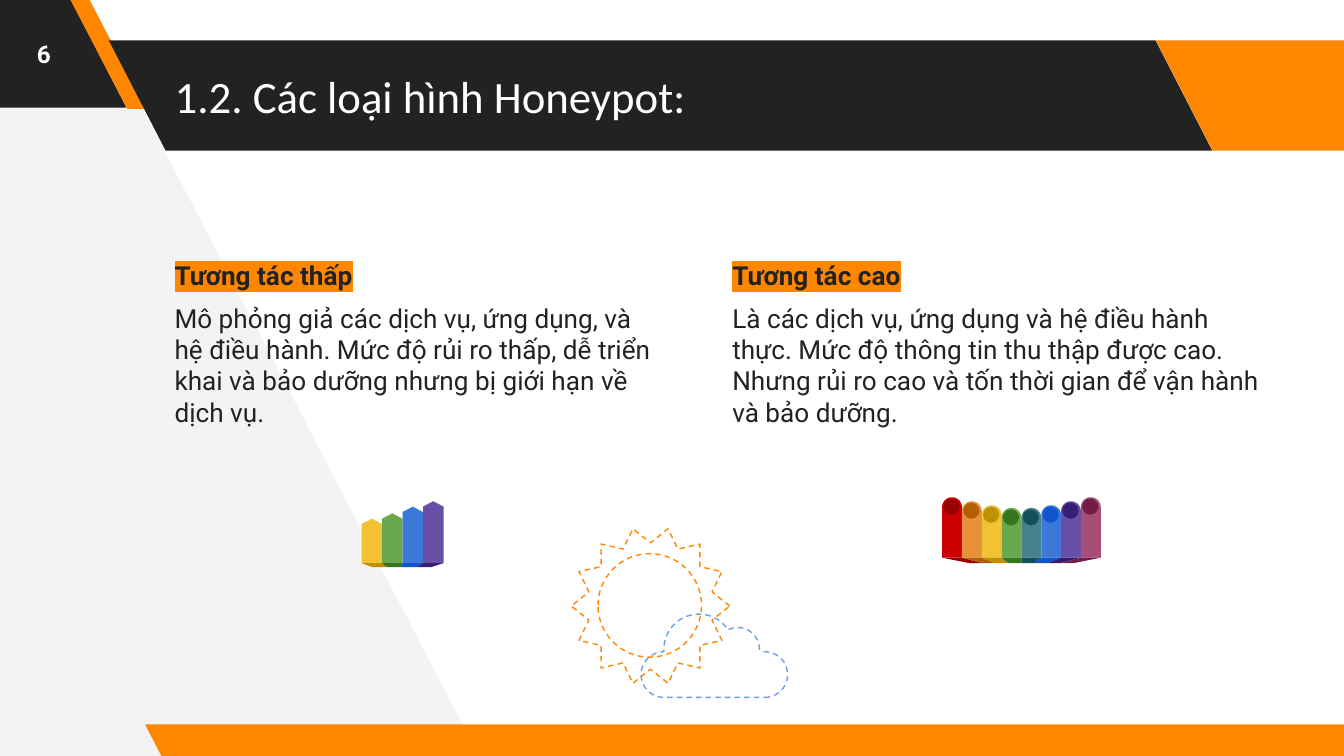
from math import cos, pi, radians, sin

from lxml import etree
from pptx import Presentation
from pptx import util as u
from pptx.dml.color import RGBColor
from pptx.enum import dml, shapes, text
from pptx.oxml.ns import qn

DARK = RGBColor(0x22, 0x22, 0x22)
ORANGE = RGBColor(0xFF, 0x87, 0x00)
GREY = RGBColor(0xF3, 0xF3, 0xF3)
WHITE = RGBColor(0xFF, 0xFF, 0xFF)
SKY = RGBColor(0x6D, 0x9E, 0xEB)
RED, DARK_RED = RGBColor(0xCC, 0x00, 0x00), RGBColor(0x99, 0x00, 0x00)
AMBER, DARK_AMBER = RGBColor(0xE6, 0x91, 0x38), RGBColor(0xB4, 0x5F, 0x06)
YELLOW, DARK_YELLOW = RGBColor(0xF1, 0xC2, 0x32), RGBColor(0xBF, 0x90, 0x00)
GREEN, DARK_GREEN = RGBColor(0x6A, 0xA8, 0x4F), RGBColor(0x38, 0x76, 0x1D)
TEAL, DARK_TEAL = RGBColor(0x45, 0x81, 0x8E), RGBColor(0x13, 0x4F, 0x5C)
BLUE, DARK_BLUE = RGBColor(0x3C, 0x78, 0xD8), RGBColor(0x11, 0x55, 0xCC)
PURPLE, DARK_PURPLE = RGBColor(0x67, 0x4E, 0xA7), RGBColor(0x35, 0x1C, 0x75)
PINK, DARK_PINK = RGBColor(0xA6, 0x4D, 0x79), RGBColor(0x74, 0x1B, 0x47)

BANDS = [
    (-0.98, -0.02, 1.92, 0.82, 0.515, DARK),
    (0.52, -0.01, 0.57, 0.82, 0.75, ORANGE),
    (0.81, 0.3, 8.21, 0.82, 0.515, DARK),
    (8.6, 0.3, 1.92, 0.82, 0.515, ORANGE),
    (1.08, 5.39, 9.15, 0.25, 0.515, ORANGE),
]
COLUMNS = [
    (1.2, 3.81, "Tương tác thấp",
     "Mô phỏng giả các dịch vụ, ứng dụng, và hệ điều hành. Mức độ rủi ro thấp, "
     "dễ triển khai và bảo dưỡng nhưng bị giới hạn về dịch vụ."),
    (5.35, 4.22, "Tương tác cao",
     "Là các dịch vụ, ứng dụng và hệ điều hành thực. Mức độ thông tin thu thập "
     "được cao. Nhưng rủi ro cao và tốn thời gian để vận hành và bảo dưỡng."),
]
POINTED_BARS = [(3.86, YELLOW, DARK_YELLOW), (3.82, GREEN, DARK_GREEN),
                (3.77, BLUE, DARK_BLUE), (3.73, PURPLE, DARK_PURPLE)]
ROUND_BARS = [(3.7, RED, DARK_RED), (3.73, AMBER, DARK_AMBER),
              (3.76, YELLOW, DARK_YELLOW), (3.78, GREEN, DARK_GREEN),
              (3.78, TEAL, DARK_TEAL), (3.76, BLUE, DARK_BLUE),
              (3.73, PURPLE, DARK_PURPLE), (3.7, PINK, DARK_PINK)]


def set_all(obj, values):
    for name, value in values.items():
        setattr(obj, name, value)


def box(*lengths):
    return [u.Inches(v) for v in lengths]


def arc(cx, cy, radius, start, end, steps=24):
    angles = [radians(start + (end - start) * i / steps) for i in range(steps + 1)]
    return [(cx + radius * cos(a), cy + radius * sin(a)) for a in angles]


def paint(sp, fill=None, line=None):
    sp.shadow.inherit = False
    if fill is None:
        sp.fill.background()
    else:
        sp.fill.solid()
        sp.fill.fore_color.rgb = fill
    if line is None:
        sp.line.fill.background()
    else:
        sp.line.color.rgb = line
        set_all(sp.line, {"width": u.Pt(0.75), "dash_style": dml.MSO_LINE.DASH})


def add_outline(parent, points, fill=None, line=None):
    points = [tuple(box(*point)) for point in points]
    builder = parent.build_freeform(*points[0])
    builder.add_line_segments(points[1:])
    paint(builder.convert_to_shape(), fill, line)


def add_oval(parent, x, y, size, fill=None, line=None):
    paint(parent.add_shape(shapes.MSO_SHAPE.OVAL, *box(x, y, size, size)), fill, line)


def add_band(s, x, y, w, h, slant, color):
    sp = s.shapes.add_shape(shapes.MSO_SHAPE.PARALLELOGRAM, *box(x, y, w, h))
    sp.adjustments[0] = slant
    sp.element.spPr.find(qn("a:xfrm")).set("flipH", "1")
    paint(sp, color)


def format_frame(tf, anchor):
    margins = {f"margin_{side}": u.Inches(0.1) for side in ("left", "right", "top", "bottom")}
    set_all(tf, {"word_wrap": True, "vertical_anchor": anchor,
                 "auto_size": text.MSO_AUTO_SIZE.NONE, **margins})


def write(p, words, size, color, font="Roboto", bold=False, align=text.PP_ALIGN.LEFT):
    p.alignment = align
    r = p.add_run()
    r.text = words
    set_all(r.font, {"size": u.Pt(size), "name": font, "bold": bold})
    r.font.color.rgb = color
    return r


def highlight(r, color):
    mark = etree.Element(qn("a:highlight"))
    etree.SubElement(mark, qn("a:srgbClr")).set("val", str(color))
    r._r.rPr.find(qn("a:solidFill")).addnext(mark)


def add_title(s, words):
    title = s.shapes.title
    places = ("left", "top", "width", "height")
    set_all(title, dict(zip(places, box(1.2, 0.3, 8.28, 0.82))))
    format_frame(title.text_frame, text.MSO_ANCHOR.MIDDLE)
    write(title.text_frame.paragraphs[0], words, 24, WHITE, "Calibri")
    title.element.getparent().append(title.element)


def add_number(s, words):
    tf = s.shapes.add_textbox(*box(0, 0, 0.65, 0.8)).text_frame
    format_frame(tf, text.MSO_ANCHOR.MIDDLE)
    write(tf.paragraphs[0], words, 13, WHITE, bold=True, align=text.PP_ALIGN.CENTER)


def add_column(s, x, w, heading, body):
    tf = s.shapes.add_textbox(*box(x, 1.83, w, 1.96)).text_frame
    format_frame(tf, text.MSO_ANCHOR.TOP)
    highlight(write(tf.paragraphs[0], heading, 14, DARK, bold=True), ORANGE)
    write(tf.add_paragraph(), body, 14, DARK)
    for p in tf.paragraphs:
        p.space_before = u.Pt(6)


def add_base(parent, x, w, y, foot_x, foot_w, foot_y, color):
    add_outline(parent, [(x, y), (x + w, y), (foot_x + foot_w, foot_y), (foot_x, foot_y)], color)


def add_pointed_bars(s):
    group = s.shapes.add_group_shape().shapes
    w, bottom = 0.61 / 4, 4.19
    for i, (top, color, shade) in enumerate(POINTED_BARS):
        x = 2.69 + w * i
        add_outline(group, [(x + w / 2, top), (x, top + 0.04), (x, bottom),
                            (x + w, bottom), (x + w, top + 0.04)], color)
        add_base(group, x, w, bottom, 2.77 + 0.11 * i, 0.11, 4.22, shade)


def add_round_bars(s):
    group = s.shapes.add_group_shape().shapes
    w, foot_w, bottom = 1.18 / 8, 0.78 / 8, 4.15
    for i, (top, color, shade) in enumerate(ROUND_BARS):
        x = 7.01 + w * i
        cap = arc(x + w / 2, top + w / 2, w / 2, 180, 360)
        add_outline(group, cap + [(x + w, bottom), (x, bottom)], color)
        add_oval(group, x + 0.01, top + 0.01, 0.12, shade)
        add_base(group, x, w, bottom, 7.21 + foot_w * i, foot_w, 4.19, shade)


def add_sun(s):
    group = s.shapes.add_group_shape().shapes
    cx, cy, rays = 4.84, 4.51, 14
    points = []
    for i in range(2 * rays):
        radius = 0.47 if i % 2 else 0.59
        points.append((cx + radius * cos(pi * i / rays), cy - radius * sin(pi * i / rays)))
    add_outline(group, points, line=ORANGE)
    add_oval(group, 4.45, 4.12, 0.77, line=ORANGE)


def add_cloud(s):
    points = (arc(5.69, 5.02, 0.17, 90, -90) + arc(5.49, 4.83, 0.16, 0, -116)
              + arc(5.2, 4.83, 0.26, -33, -180) + arc(4.94, 5.02, 0.17, -90, -270))
    add_outline(s.shapes, points, line=SKY)


def main():
    prs = Presentation()
    width = u.Inches(10)
    set_all(prs, {"slide_width": width, "slide_height": width * 9 // 16})
    s = prs.slides.add_slide(prs.slide_layouts[5])
    add_outline(s.shapes, [(3.56, 5.62), (0.62, -0.04), (-0.06, -0.04), (-0.02, 5.66)], GREY)
    for band in BANDS:
        add_band(s, *band)
    add_title(s, "1.2. Các loại hình Honeypot:")
    for column in COLUMNS:
        add_column(s, *column)
    add_number(s, "6")
    add_pointed_bars(s)
    add_round_bars(s)
    add_sun(s)
    add_cloud(s)
    prs.save("out.pptx")


if __name__ == "__main__":
    main()
